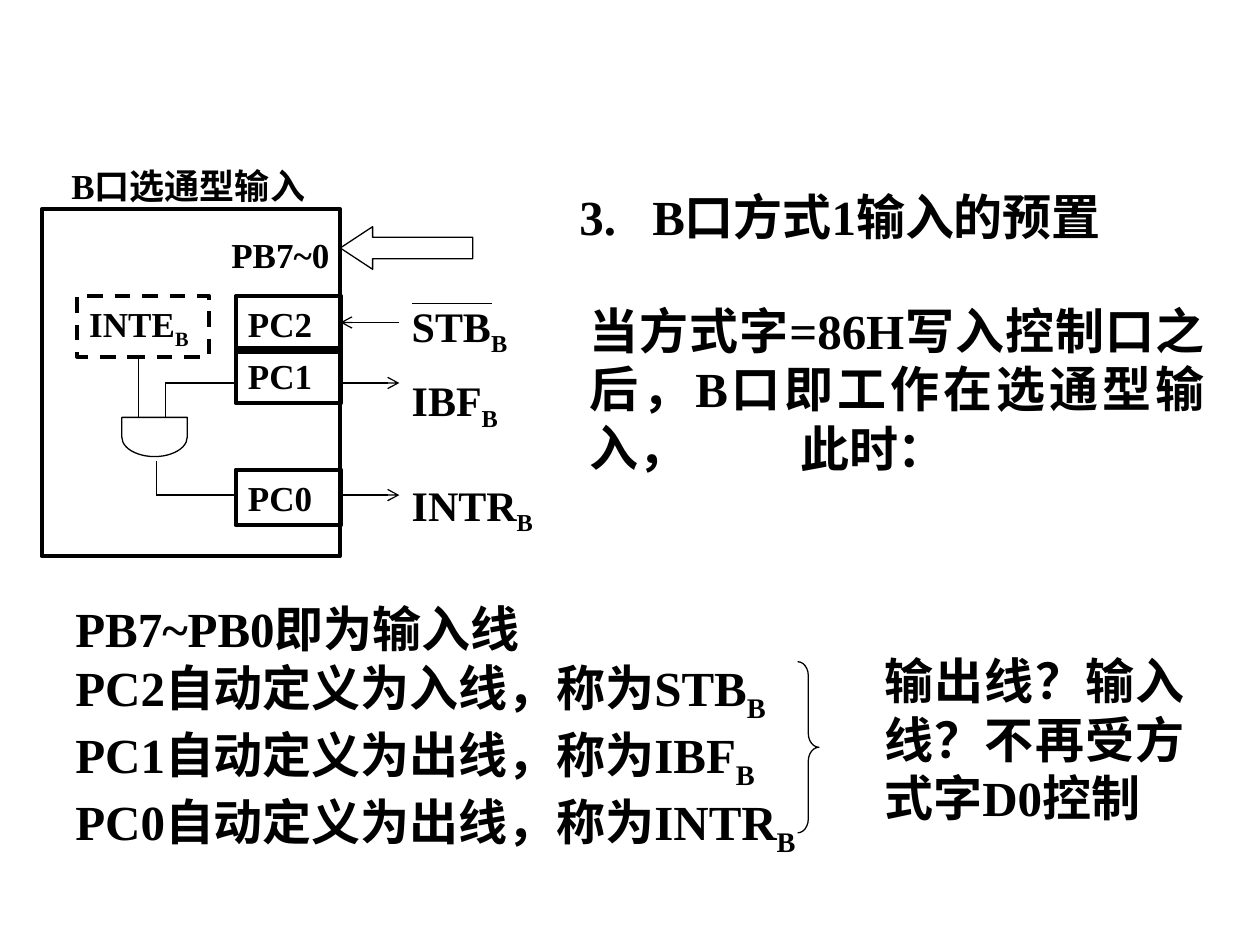
"""Build the slide on presetting port B for strobed input."""
from lxml.etree import SubElement
from pptx import Presentation
from pptx.dml.color import RGBColor
from pptx.enum.dml import MSO_LINE_DASH_STYLE as Dash
from pptx.enum.shapes import MSO_CONNECTOR_TYPE as Connector, MSO_SHAPE as Shape
from pptx.enum.text import MSO_ANCHOR as Anchor, PP_ALIGN as Align
from pptx.oxml.ns import qn
from pptx.util import Cm, Pt

INK = "000000"
THIN, THICK = 0.75, 2.25
FONT = {"name": "Times New Roman", "bold": True}
FRAME = {"word_wrap": True, "vertical_anchor": Anchor.TOP,
         "margin_left": Cm(0.25), "margin_right": Cm(0.25),
         "margin_top": Cm(0.13), "margin_bottom": Cm(0.13)}
HEADING_TAB = 1.47

PIN_LEFT, PIN_WIDTH, PIN_HEIGHT = 4.75, 2.13, 1.12
CHIP_RIGHT, SIGNAL_LEFT = 6.86, 8.05
STB_Y, IBF_Y, INTR_Y = 6.5, 7.72, 9.98
INTE_X, IBF_X, GATE_X = 2.79, 3.33, 3.15
GATE_TOP, GATE_BOTTOM = 8.43, 9.3

OUTLINES = [
    (Shape.RECTANGLE, (0.84, 4.22, 6.02, 6.99), THICK, 0, ()),
    (Shape.FLOWCHART_DELAY, (2.72, 8.15, 0.79, 1.32), THIN, 90, ()),
    (Shape.LEFT_ARROW, (CHIP_RIGHT, 4.57, 2.67, 0.86), THIN, 0, (0.5, 0.76)),
    (Shape.RIGHT_BRACE, (16.08, 13.34, 0.43, 3.45), THIN, 0, (0.65, 0.5)),
]
PINS = [("PC2", 5.97), ("PC1", 7.01), ("PC0", 9.47)]
INTE = [("INTE", "B")]
INTE_BOX = (1.55, 5.97, 2.67, 1.22)
SIGNALS = [("STB", 5.92), ("IBF", 7.42), ("INTR", 9.53)]
TEXTS = [
    ([("B口选通型输入", "")], (1.19, 3.18, 6.02, 1.12), 20, Align.LEFT),
    ([("PB7~0", "")], (3.33, 4.57, 3.56, 1.12), 20, Align.RIGHT),
    ([("3.\tB口方式1输入的预置", "")], (11.43, 3.63, 13.8, 1.45), 28, Align.LEFT),
    ([("当方式字=86H写入控制口之后，B口即工作在选通型输入，", "")],
     (11.63, 5.92, 12.9, 3.81), 28, Align.JUSTIFY),
    ([("此时：", "")], (15.88, 8.31, 6.15, 1.45), 28, Align.JUSTIFY),
    ([("PB7~PB0即为输入线", ""), ("PC2自动定义为入线，称为STB", "B"),
      ("PC1自动定义为出线，称为IBF", "B"), ("PC0自动定义为出线，称为INTR", "B")],
     (1.27, 11.94, 19.48, 5.49), 28, Align.JUSTIFY),
    ([("输出线？输入线？不再受方式字D0控制", "")],
     (17.58, 12.98, 6.55, 3.81), 28, Align.JUSTIFY),
]
WIRES = [
    (INTE_X, 7.19, INTE_X, GATE_TOP),
    (IBF_X, IBF_Y, IBF_X, GATE_TOP),
    (IBF_X, IBF_Y, PIN_LEFT, IBF_Y),
    (GATE_X, GATE_BOTTOM, GATE_X, INTR_Y),
    (GATE_X, INTR_Y, PIN_LEFT, INTR_Y),
    (8.31, 6.12, 9.91, 6.12),
]
ARROWS = [
    (SIGNAL_LEFT, STB_Y, CHIP_RIGHT, STB_Y),
    (CHIP_RIGHT, IBF_Y, SIGNAL_LEFT, IBF_Y),
    (CHIP_RIGHT, INTR_Y, SIGNAL_LEFT, INTR_Y),
]


def color(value):
    return RGBColor.from_string(value)


def lengths(values):
    return [Cm(value) for value in values]


def set_all(target, values):
    for name, value in values.items():
        setattr(target, name, value)


def write(shape, lines, size, align=Align.LEFT):
    frame = shape.text_frame
    set_all(frame, FRAME)
    for index, (text, subscript) in enumerate(lines):
        paragraph = frame.add_paragraph() if index else frame.paragraphs[0]
        paragraph.alignment = align
        if "\t" in text:
            tabs = SubElement(paragraph._p.get_or_add_pPr(), qn("a:tabLst"))
            SubElement(tabs, qn("a:tab"), pos=str(Cm(HEADING_TAB)), algn="l")
        for part, baseline in ((text, "0"), (subscript, "-25000")):
            if part:
                run = paragraph.add_run()
                run.text = part
                set_all(run.font, {**FONT, "size": Pt(size)})
                run.font.color.rgb = color(INK)
                run._r.get_or_add_rPr().set("baseline", baseline)


def add_outline(slide, kind, box, width, rotation=0, adjustments=()):
    shape = slide.shapes.add_shape(kind, *lengths(box))
    shape.shadow.inherit = False
    shape.rotation = rotation
    shape.fill.background()
    shape.line.color.rgb = color(INK)
    shape.line.width = Pt(width)
    for index, value in enumerate(adjustments):
        shape.adjustments[index] = value
    return shape


def add_text(slide, lines, box, size, align=Align.LEFT):
    write(slide.shapes.add_textbox(*lengths(box)), lines, size, align)


def add_line(slide, ends, arrow=False):
    line = slide.shapes.add_connector(Connector.STRAIGHT, *lengths(ends))
    line.line.color.rgb = color(INK)
    line.line.width = Pt(THIN)
    if arrow:
        SubElement(line.line._get_or_add_ln(), qn("a:tailEnd"), type="arrow")
    SubElement(line._element.spPr, qn("a:effectLst"))


def main():
    presentation = Presentation()
    presentation.slide_width, presentation.slide_height = Cm(25.4), Cm(19.05)
    slide = presentation.slides.add_slide(presentation.slide_layouts[6])
    for outline in OUTLINES:
        add_outline(slide, *outline)
    for name, top in PINS:
        box = (PIN_LEFT, top, PIN_WIDTH, PIN_HEIGHT)
        write(add_outline(slide, Shape.RECTANGLE, box, THICK), [(name, "")], 20)
    enable = add_outline(slide, Shape.RECTANGLE, INTE_BOX, THICK)
    enable.line.dash_style = Dash.DASH
    write(enable, INTE, 20)
    for name, top in SIGNALS:
        add_text(slide, [(name, "B")], (SIGNAL_LEFT, top, 5.72, 1.42), 24)
    for text in TEXTS:
        add_text(slide, *text)
    for ends in WIRES:
        add_line(slide, ends)
    for ends in ARROWS:
        add_line(slide, ends, arrow=True)
    presentation.save("out.pptx")


if __name__ == "__main__":
    main()
